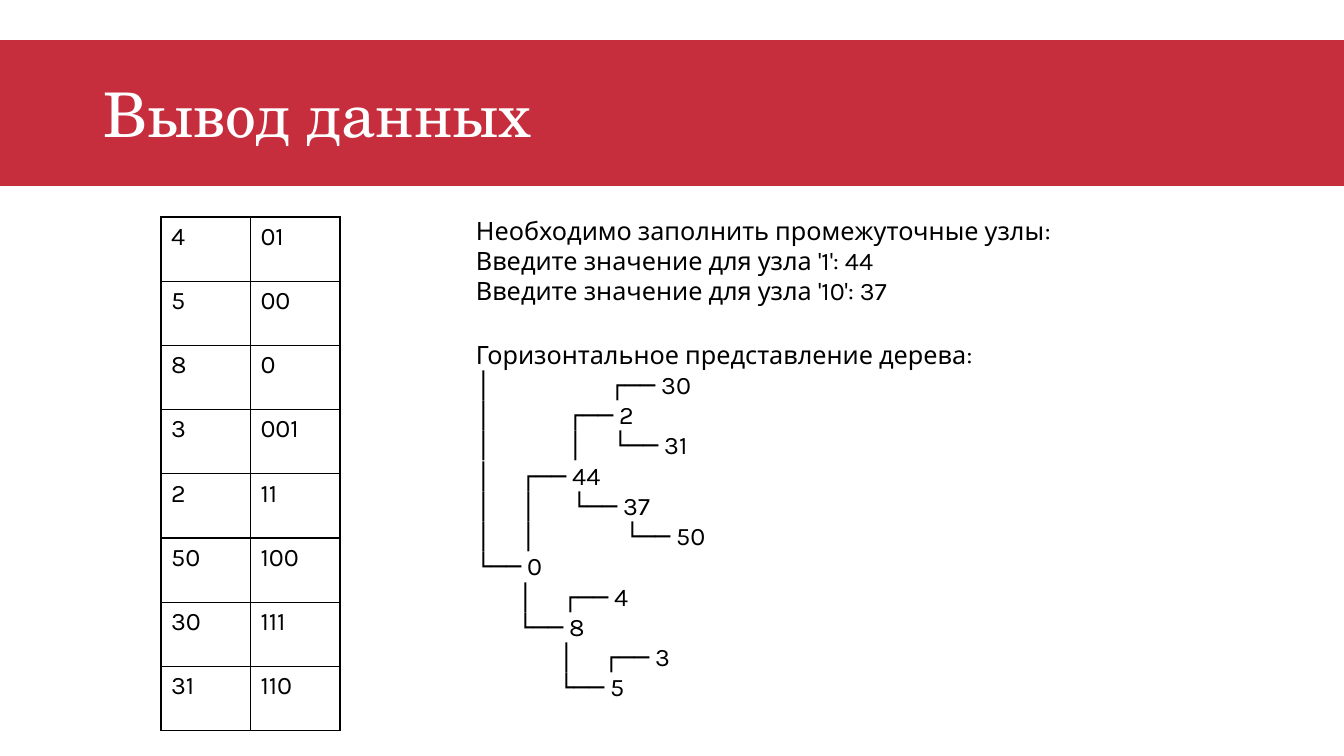
"""Build the data output slide: a code table beside a printed tree."""
import pptx
import pptx.util
import pptx.dml.color
import pptx.enum.shapes
import pptx.enum.text
import pptx.oxml
import pptx.oxml.ns

TITLE = "Вывод данных"
CODES = [("4", "01"), ("5", "00"), ("8", "0"), ("3", "001"),
         ("2", "11"), ("50", "100"), ("30", "111"), ("31", "110")]
PROMPTS = ["Необходимо заполнить промежуточные узлы:",
           "Введите значение для узла '1': 44",
           "Введите значение для узла '10': 37"]
TREE_HEADING = "Горизонтальное представление дерева:"
TREE = [
    [(0, "│"), (134, "┌── 30")],
    [(0, "│"), (92, "┌── 2")],
    [(0, "│"), (92, "│"), (137, "└── 31")],
    [(0, "│"), (45, "┌── 44")],
    [(0, "│"), (45, "│"), (96, "└── 37")],
    [(0, "│"), (45, "│"), (149, "└── 50")],
    [(0, "└── 0")],
    [(42, "│"), (87, "┌── 4")],
    [(42, "└── 8")],
    [(83, "│"), (128, "┌── 3")],
    [(83, "└── 5")],
]
BODY_FONT, TITLE_FONT = "Karla", "TeX Gyre Schola"
RED, WHITE, BLACK = "C62E3E", "FFFFFF", "000000"
BAND = (0, 40, 1344, 146)
TITLE_BOX = (93, 40, 1159, 146)
TABLE_BOX = (161, 217, 179, 514)
PROMPT_BOX = (466, 210, 672, 102)
TREE_BOX = (466, 334, 672, 377)


def emu(px):
    return pptx.util.Emu(round(px * 914400 / 100.8))


def rgb(value):
    return pptx.dml.color.RGBColor.from_string(value)


def style(frame, font=BODY_FONT, size=18, color=BLACK):
    for para in frame.paragraphs:
        para.alignment = pptx.enum.text.PP_ALIGN.LEFT
        for span in para.runs:
            span.font.name = font
            span.font.size = pptx.util.Pt(size)
            span.font.color.rgb = rgb(color)


def add_text(page, place, lines):
    frame = page.shapes.add_textbox(*map(emu, place)).text_frame
    frame.word_wrap = True
    frame.auto_size = pptx.enum.text.MSO_AUTO_SIZE.SHAPE_TO_FIT_TEXT
    frame.text = "\n".join(lines)
    style(frame)
    return frame


def set_tabs(para, offsets):
    stops = "".join(f'<a:tab pos="{emu(x)}" algn="l"/>' for x in offsets)
    tabs = f'<a:tabLst {pptx.oxml.ns.nsdecls("a")}>{stops}</a:tabLst>'
    para._p.get_or_add_pPr().append(pptx.oxml.parse_xml(tabs))


def add_borders(cell):
    properties = cell._tc.get_or_add_tcPr()
    for index, side in enumerate(("lnL", "lnR", "lnT", "lnB")):
        properties.insert(index, pptx.oxml.parse_xml(
            f'<a:{side} {pptx.oxml.ns.nsdecls("a")} w="12700"><a:solidFill>'
            f'<a:srgbClr val="{BLACK}"/></a:solidFill></a:{side}>'))


def add_title(page):
    title = page.shapes.title
    title.left, title.top, title.width, title.height = map(emu, TITLE_BOX)
    frame = title.text_frame
    frame.text = TITLE
    frame.vertical_anchor = pptx.enum.text.MSO_ANCHOR.MIDDLE
    style(frame, TITLE_FONT, 44, WHITE)
    band = page.shapes.add_shape(
        pptx.enum.shapes.MSO_SHAPE.RECTANGLE, *map(emu, BAND))
    band.shadow.inherit = False
    band.fill.solid()
    band.fill.fore_color.rgb = rgb(RED)
    band.line.fill.background()
    title.element.addprevious(band.element)


def add_codes(page):
    rows, columns = len(CODES), len(CODES[0])
    table = page.shapes.add_table(rows, columns, *map(emu, TABLE_BOX)).table
    table.first_row = table.horz_banding = False
    for column in table.columns:
        column.width = emu(TABLE_BOX[2] / columns)
    for row, values in zip(table.rows, CODES):
        row.height = emu(TABLE_BOX[3] / rows)
        for cell, value in zip(row.cells, values):
            cell.text = value
            cell.fill.background()
            style(cell.text_frame)
            add_borders(cell)


def add_tree(page):
    lines = ["".join("\t" * (x > 0) + piece for x, piece in line) for line in TREE]
    frame = add_text(page, TREE_BOX, [TREE_HEADING] + lines)
    for para, line in zip(frame.paragraphs[1:], TREE):
        offsets = [x for x, piece in line if x > 0]
        if offsets:
            set_tabs(para, offsets)


def main():
    deck = pptx.Presentation()
    deck.slide_width, deck.slide_height = emu(1344), emu(756)
    page = deck.slides.add_slide(deck.slide_layouts[5])
    add_title(page)
    add_codes(page)
    add_text(page, PROMPT_BOX, PROMPTS)
    add_tree(page)
    deck.save("out.pptx")


if __name__ == "__main__":
    main()
